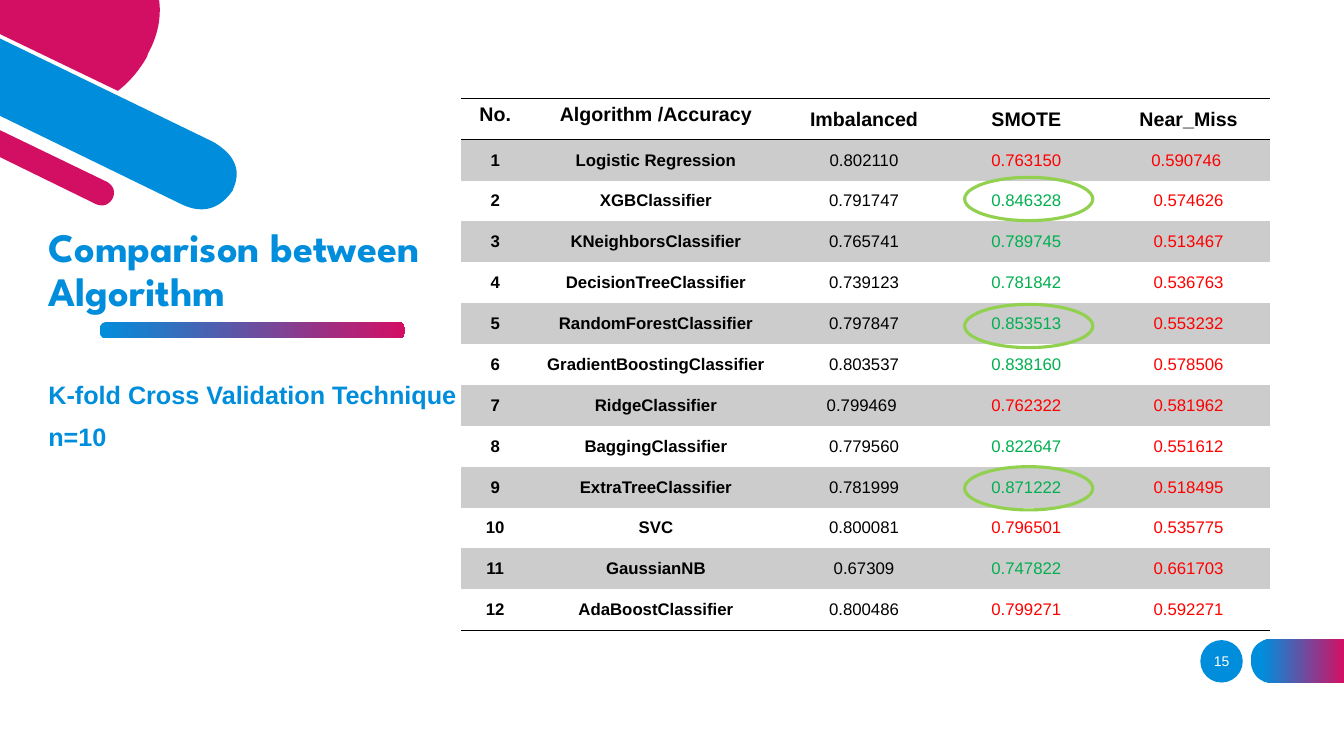
from typing import Any, NamedTuple

from lxml.etree import SubElement
from pptx import Presentation
from pptx.dml.color import RGBColor
from pptx.enum.shapes import MSO_SHAPE
from pptx.enum.text import MSO_ANCHOR, PP_ALIGN
from pptx.oxml.ns import qn
from pptx.util import Cm, Pt

BLUE, PINK, WHITE, BLACK = "008EDC", "D30F64", "FFFFFF", "000000"
GREEN, RED, GREY, LIME = "00B050", "FF0000", "CCCCCC", "92D050"
NO_GRID_STYLE = "{2D5ABB26-0587-4C30-8999-92F81FD0307C}"
CURVE_STEPS = 24

Point = tuple[float, float]


class Outline(NamedTuple):
    """A closed outline in cm; a step is one point (line) or three (Bezier curve)."""
    start: Point
    steps: list[tuple[Point, ...]]
    fill: str | tuple[float, str, str]


class Result(NamedTuple):
    algorithm: str
    imbalanced: str
    smote: str
    near_miss: str


OUTLINES = [
    Outline((0, 0), [
        ((4.01, 0),),
        ((4.06, 0.38), (4.01, 0.84), (3.73, 1.35)),
        ((3.71, 1.42),),
        ((3.71, 1.42), (3.45, 1.93), (2.97, 2.29)),
        ((0, 0.86),),
    ], PINK),
    Outline((0, 0.97), [
        ((5.38, 3.58),),
        ((5.38, 3.58), (5.61, 3.71), (5.77, 3.89)),
        ((6, 4.17), (6.02, 4.45), (5.87, 4.78)),
        ((5.87, 4.8),),
        ((5.84, 4.8), (5.46, 5.56), (4.6, 5.16)),
        ((0, 2.92),),
    ], BLUE),
    Outline((0, 3.28), [
        ((2.67, 4.57),),
        ((2.69, 4.57), (2.97, 4.72), (2.84, 5)),
        ((2.82, 5.03), (2.69, 5.28), (2.39, 5.13)),
        ((0, 3.96),),
    ], PINK),
    Outline((33.87, 16.1), [
        ((32.05, 16.1),),
        ((32.05, 16.1), (31.52, 16.1), (31.52, 16.65)),
        ((31.52, 16.65), (31.52, 17.2), (32.05, 17.2)),
        ((33.87, 17.2),),
    ], (0.12, BLUE, PINK)),
]

HEADERS = ["No.", "Algorithm /Accuracy", "Imbalanced", "SMOTE", "Near_Miss"]
RESULTS = [
    Result("Logistic Regression", "0.802110", "0.763150", "0.590746 "),
    Result("XGBClassifier", "0.791747", "0.846328", "0.574626"),
    Result("KNeighborsClassifier", "0.765741", "0.789745", "0.513467"),
    Result("DecisionTreeClassifier", "0.739123", "0.781842", "0.536763"),
    Result("RandomForestClassifier", "0.797847", "0.853513", "0.553232"),
    Result("GradientBoostingClassifier", "0.803537", "0.838160", "0.578506"),
    Result("RidgeClassifier", "0.799469 ", "0.762322", "0.581962"),
    Result("BaggingClassifier", "0.779560", "0.822647", "0.551612"),
    Result("ExtraTreeClassifier", "0.781999", "0.871222", "0.518495"),
    Result("SVC", "0.800081", "0.796501", "0.535775"),
    Result("GaussianNB", "0.67309", "0.747822", "0.661703"),
    Result("AdaBoostClassifier", "0.800486", "0.799271", "0.592271"),
]
COLUMN_WIDTHS = [1.7, 6.4, 4.09, 4.09, 4.09]
ROW_HEIGHT = 1.03
BEST_TOPS = [4.47, 7.67, 11.76]


def rgb(value: str) -> RGBColor:
    return RGBColor.from_string(value)


def apply(target: Any, values: dict[str, Any]) -> None:
    for name, value in values.items():
        setattr(target, name, value)


def write(p: Any, text: str, size: float, color: str, bold: bool = False,
          font: str = "Arial", **layout: Any) -> None:
    """Add one formatted run and set the paragraph's own attributes."""
    r = p.add_run()
    r.text = text
    apply(r.font, {"size": Pt(size), "bold": bold, "name": font})
    r.font.color.rgb = rgb(color)
    apply(p, layout)


def paint(sp: Any, fill: str | tuple[float, str, str]) -> None:
    """Fill with one colour, or left to right from (start, colour, colour)."""
    sp.shadow.inherit = False
    sp.line.fill.background()
    if isinstance(fill, str):
        sp.fill.solid()
        sp.fill.fore_color.rgb = rgb(fill)
        return
    start, *colors = fill
    sp.fill.gradient()
    sp.fill.gradient_angle = 0
    for stop, position, color in zip(sp.fill.gradient_stops, (start, 1), colors):
        stop.position = position
        stop.color.rgb = rgb(color)


def curve(points: list[Point]) -> list[Point]:
    """Points along a cubic Bezier curve, without its first one."""
    result = []
    for i in range(1, CURVE_STEPS + 1):
        t = i / CURVE_STEPS
        weights = ((1 - t) ** 3, 3 * t * (1 - t) ** 2, 3 * t * t * (1 - t), t ** 3)
        x, y = (sum(w * pt[axis] for w, pt in zip(weights, points)) for axis in (0, 1))
        result.append((x, y))
    return result


def draw_outline(shapes: Any, outline: Outline) -> None:
    points = [outline.start]
    for step in outline.steps:
        points += curve([points[-1], *step]) if len(step) == 3 else step
    start, *rest = [(Cm(x), Cm(y)) for x, y in points]
    builder = shapes.build_freeform(*start)
    builder.add_line_segments(rest, close=True)
    paint(builder.convert_to_shape(), outline.fill)


def add_border(cell: Any, side: str) -> None:
    ln = SubElement(cell._tc.get_or_add_tcPr(), qn(f"a:{side}"), w=str(Pt(1)))
    SubElement(SubElement(ln, qn("a:solidFill")), qn("a:srgbClr"), val=BLACK)


def value_color(value: str, baseline: str) -> str:
    return GREEN if float(value) > float(baseline) else RED


def draw_table(shapes: Any) -> None:
    count = len(RESULTS)
    frame = shapes.add_table(count + 1, len(HEADERS), Cm(11.63), Cm(2.49),
                             Cm(sum(COLUMN_WIDTHS)), Cm(ROW_HEIGHT * (count + 1)))
    table = frame.table
    apply(table, {"first_row": False, "horz_banding": False})
    table._tbl.tblPr.find(qn("a:tableStyleId")).text = NO_GRID_STYLE
    for column, width in zip(table.columns, COLUMN_WIDTHS):
        column.width = Cm(width)
    rows = [HEADERS] + [[str(n), *result] for n, result in enumerate(RESULTS, 1)]
    for i, texts in enumerate(rows):
        table.rows[i].height = Cm(ROW_HEIGHT)
        for j, text in enumerate(texts):
            cell = table.cell(i, j)
            top = i == 0 and j < 2
            cell.vertical_anchor = MSO_ANCHOR.TOP if top else MSO_ANCHOR.MIDDLE
            color = value_color(text, texts[2]) if i and j > 2 else BLACK
            write(cell.text_frame.paragraphs[0], text, 12 if i else 14, color,
                  bold=i == 0 or j < 2, alignment=PP_ALIGN.CENTER)
            if i == 0:
                add_border(cell, "lnT")
            if i in (0, count):
                add_border(cell, "lnB")
            if i % 2:
                cell.fill.solid()
                cell.fill.fore_color.rgb = rgb(GREY)
            else:
                cell.fill.background()


def main() -> None:
    prs = Presentation()
    apply(prs, {"slide_width": Cm(33.87), "slide_height": Cm(19.05)})
    s = prs.slides.add_slide(prs.slide_layouts[5])
    shapes = s.shapes
    for outline in OUTLINES:
        draw_outline(shapes, outline)

    bar = shapes.add_shape(MSO_SHAPE.ROUNDED_RECTANGLE, Cm(2.51), Cm(8.12), Cm(7.7), Cm(0.41))
    bar.adjustments[0] = 0.4
    paint(bar, (0, BLUE, PINK))

    title = shapes.title
    apply(title, {"left": Cm(0.97), "top": Cm(5.56), "width": Cm(10.74), "height": Cm(2.51)})
    apply(title.text_frame, {"word_wrap": True, "vertical_anchor": MSO_ANCHOR.BOTTOM})
    write(title.text_frame.paragraphs[0], "Comparison between Algorithm", 28.8, BLUE, True,
          "League Spartan", alignment=PP_ALIGN.LEFT, line_spacing=0.9)

    draw_table(shapes)

    tf = shapes.add_textbox(Cm(0.97), Cm(9.53), Cm(11.3), Cm(2.92)).text_frame
    tf.word_wrap = True
    write(tf.paragraphs[0], "K-fold Cross Validation Technique", 18, BLUE, True,
          line_spacing=0.9)
    write(tf.add_paragraph(), "n=10", 18, BLUE, True, line_spacing=0.9, space_before=Pt(10))

    badge = shapes.add_shape(MSO_SHAPE.OVAL, Cm(30.25), Cm(16.13), Cm(1.07), Cm(1.07))
    paint(badge, BLUE)
    apply(badge.text_frame, {"margin_left": 0, "margin_right": 0, "word_wrap": False,
                             "vertical_anchor": MSO_ANCHOR.MIDDLE})
    write(badge.text_frame.paragraphs[0], "15", 10, WHITE, alignment=PP_ALIGN.CENTER)

    for top in BEST_TOPS:
        ring = shapes.add_shape(MSO_SHAPE.OVAL, Cm(24.31), Cm(top), Cm(3.23), Cm(1.09))
        ring.shadow.inherit = False
        ring.fill.background()
        ring.line.color.rgb = rgb(LIME)
        ring.line.width = Pt(2.25)

    prs.save("out.pptx")


if __name__ == "__main__":
    main()
